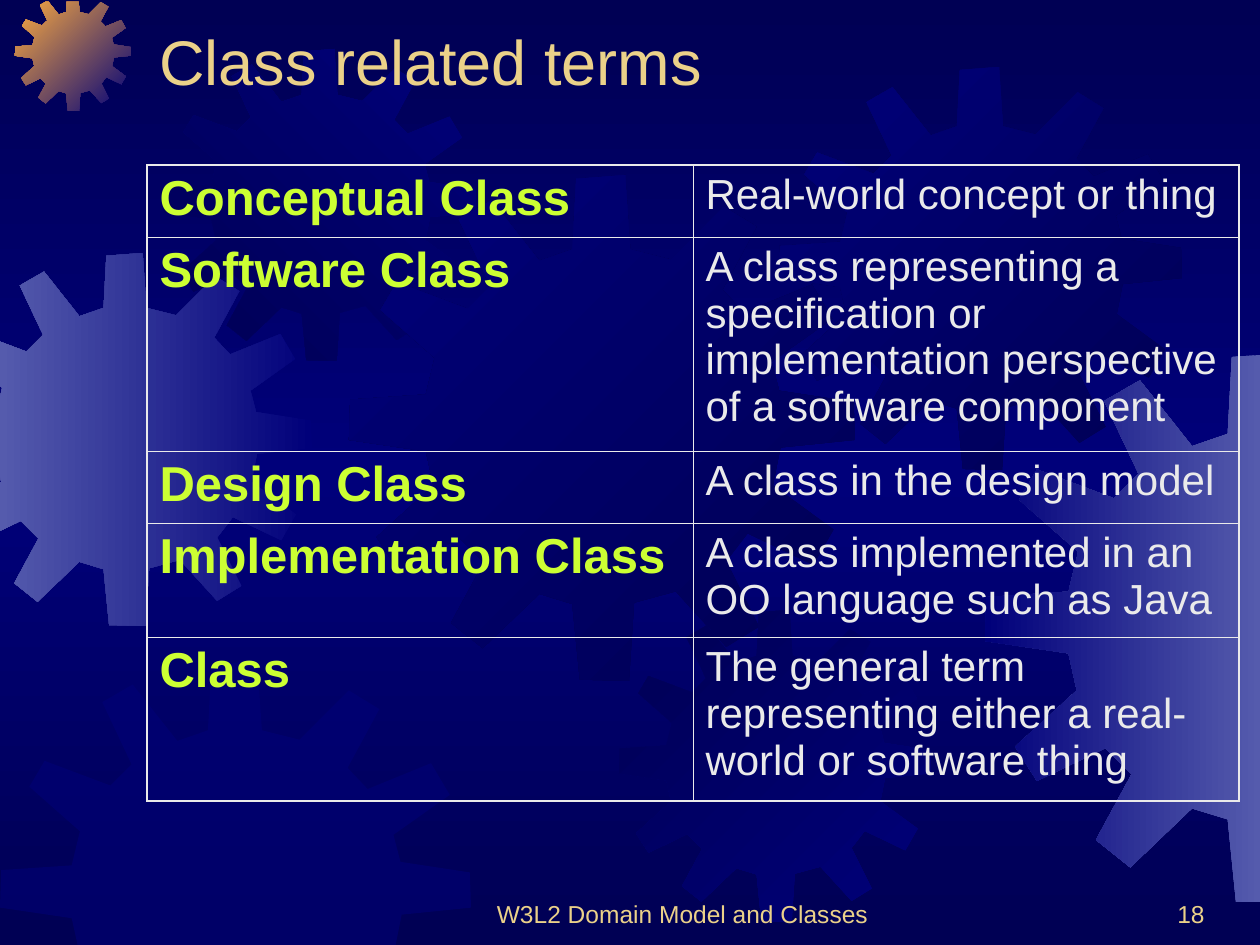
from copy import deepcopy

from lxml import etree
from pptx import Presentation
from pptx.dml.color import RGBColor
from pptx.enum.text import MSO_ANCHOR, PP_ALIGN
from pptx.oxml.ns import qn
from pptx.util import Emu, Pt

BOTTOM, TOP = MSO_ANCHOR.BOTTOM, MSO_ANCHOR.TOP
LEFT, CENTER, RIGHT = PP_ALIGN.LEFT, PP_ALIGN.CENTER, PP_ALIGN.RIGHT

NAVY = RGBColor(0x00, 0x00, 0x54)
BLUE = RGBColor(0x00, 0x00, 0x7A)
LAVENDER = RGBColor(0x55, 0x5B, 0xAD)
ORANGE = RGBColor(0xFC, 0xAB, 0x40)
SAND = RGBColor(0xEB, 0xD1, 0x89)
LIME = RGBColor(0xCC, 0xFF, 0x33)
PALE = RGBColor(0xEA, 0xEA, 0xEA)

FONT = "Arial"
SLIDE_W, SLIDE_H = 1260, 945
VISIBLE = (0, 2, SLIDE_W, SLIDE_H)

# Gear outline inside a square of GEAR_UNITS
GEAR_UNITS = 401
GEAR = [
    (255, 67), (223, 59), (219, 0), (180, 3), (177, 59), (151, 68),
    (113, 20), (87, 35), (112, 88), (94, 106), (38, 85), (25, 107),
    (68, 145), (61, 174), (1, 178), (0, 210), (61, 219), (67, 246),
    (22, 287), (38, 312), (88, 288), (107, 307), (81, 355), (106, 375),
    (151, 332), (177, 340), (183, 400), (222, 401), (226, 339), (259, 330),
    (299, 374), (325, 358), (299, 306), (316, 284), (368, 309), (384, 281),
    (336, 246), (342, 216), (401, 210), (400, 180), (341, 171), (335, 148),
    (383, 114), (367, 87), (313, 109), (296, 91), (323, 41), (297, 25),
]

# left, top, size, first colour, last colour, clockwise angle
GEARS = [
    (-61, 253, 373, BLUE, LAVENDER, 180),
    (15, -5, 116, BLUE, ORANGE, 225),
    (164, 49, 312, BLUE, NAVY, 135),
    (349, 175, 506, NAVY, BLUE, 225),
    (0, 661, 471, BLUE, None, 0),
    (619, 610, 312, BLUE, NAVY, 225),
    (779, 67, 403, NAVY, BLUE, 225),
    (985, 353, 550, LAVENDER, BLUE, 180),
]

TERMS = [
    ("Conceptual Class", "Real-world concept or thing", 72),
    ("Software Class", "A class representing a specification or implementation "
     "perspective of a software component", 214),
    ("Design Class", "A class in the design model", 72),
    ("Implementation Class",
     "A class implemented in an OO language such as Java", 114),
    ("Class", "The general term representing either a real-world or "
     "software thing", 164),
]


def px(length):
    return Emu(round(length * 914400 / 126))


def set_gradient(fill, colors, angle):
    for position, (stop, color) in enumerate(zip(fill.gradient_stops, colors)):
        stop.position = position / (len(colors) - 1)
        stop.color.rgb = color
    fill.gradient_angle = (360 - angle) % 360


def paint_background(slide):
    fill = slide.background.fill
    fill.gradient()
    stops = slide.element.find(".//" + qn("a:gsLst"))
    stops.append(deepcopy(stops[0]))
    set_gradient(fill, (NAVY, BLUE, NAVY), 90)


def clip(points, axis, limit, sign):
    """Keep the part of a polygon on one side of a limit along an axis."""
    kept = []
    for start, end in zip(points[-1:] + points[:-1], points):
        start_in = sign * (start[axis] - limit) >= 0
        end_in = sign * (end[axis] - limit) >= 0
        if start_in != end_in:
            share = (limit - start[axis]) / (end[axis] - start[axis])
            kept.append(tuple(a + share * (b - a) for a, b in zip(start, end)))
        if end_in:
            kept.append(end)
    return kept


def add_gear(slide, left, top, size, first, last, angle):
    scale = size / GEAR_UNITS
    points = [(left + x * scale, top + y * scale) for x, y in GEAR]
    for side, limit in enumerate(VISIBLE):
        points = clip(points, side % 2, limit, 1 if side < 2 else -1)
    points = [(px(x), px(y)) for x, y in points]
    builder = slide.shapes.build_freeform(*points[0])
    builder.add_line_segments(points[1:], close=True)
    gear = builder.convert_to_shape()
    gear.shadow.inherit = False
    gear.line.fill.background()
    if last is None:
        gear.fill.solid()
        gear.fill.fore_color.rgb = first
        color = gear.element.spPr.find(".//" + qn("a:srgbClr"))
        etree.SubElement(color, qn("a:alpha"), val="50000")
    else:
        gear.fill.gradient()
        set_gradient(gear.fill, (first, last), angle)


def write(frame, text, size, color, bold=False, align=LEFT, before=0):
    frame.word_wrap = True
    frame.text = text
    paragraph = frame.paragraphs[0]
    paragraph.alignment = align
    paragraph.space_before = Pt(before)
    font = paragraph.runs[0].font
    font.name, font.size, font.bold = FONT, Pt(size), bold
    font.color.rgb = color


def add_label(slide, left, top, width, height, text, size, align):
    box = slide.shapes.add_textbox(px(left), px(top), px(width), px(height))
    box.text_frame.vertical_anchor = BOTTOM
    write(box.text_frame, text, size, SAND, align=align)


def style_cell(cell, outer_sides):
    properties = cell._tc.get_or_add_tcPr()
    for side in "LRTB":
        width = Pt(1.08 if side in outer_sides else 0.45)
        border = etree.SubElement(properties, qn("a:ln" + side), w=str(width))
        solid = etree.SubElement(border, qn("a:solidFill"))
        etree.SubElement(solid, qn("a:srgbClr"), val=str(PALE))
    cell.fill.background()
    cell.vertical_anchor = TOP


def add_terms(slide, left, top, width):
    height = sum(row_height for _, _, row_height in TERMS)
    table = slide.shapes.add_table(
        len(TERMS), 2, px(left), px(top), px(width), px(height)).table
    table.first_row = table.horz_banding = False
    for column in table.columns:
        column.width = px(width / 2)
    for row, (term, meaning, row_height) in enumerate(TERMS):
        table.rows[row].height = px(row_height)
        edges = ("T" if row == 0 else "") + ("B" if row == len(TERMS) - 1 else "")
        term_cell, meaning_cell = table.cell(row, 0), table.cell(row, 1)
        style_cell(term_cell, edges + "L")
        style_cell(meaning_cell, edges + "R")
        write(term_cell.text_frame, term, 28, LIME, bold=True, before=7)
        write(meaning_cell.text_frame, meaning, 24, PALE, before=6)


def build_slide(prs):
    slide = prs.slides.add_slide(prs.slide_layouts[6])
    paint_background(slide)
    for gear in GEARS:
        add_gear(slide, *gear)
    add_label(slide, 147, 16, 1071, 88, "Class related terms", 36, LEFT)
    add_terms(slide, 147, 165, 1092)
    # Footer
    add_label(slide, 483, 872, 399, 63, "W3L2 Domain Model and Classes", 14, CENTER)
    add_label(slide, 955, 872, 262, 63, "18", 14, RIGHT)


prs = Presentation()
prs.slide_width, prs.slide_height = px(SLIDE_W), px(SLIDE_H)
build_slide(prs)
prs.save("out.pptx")
